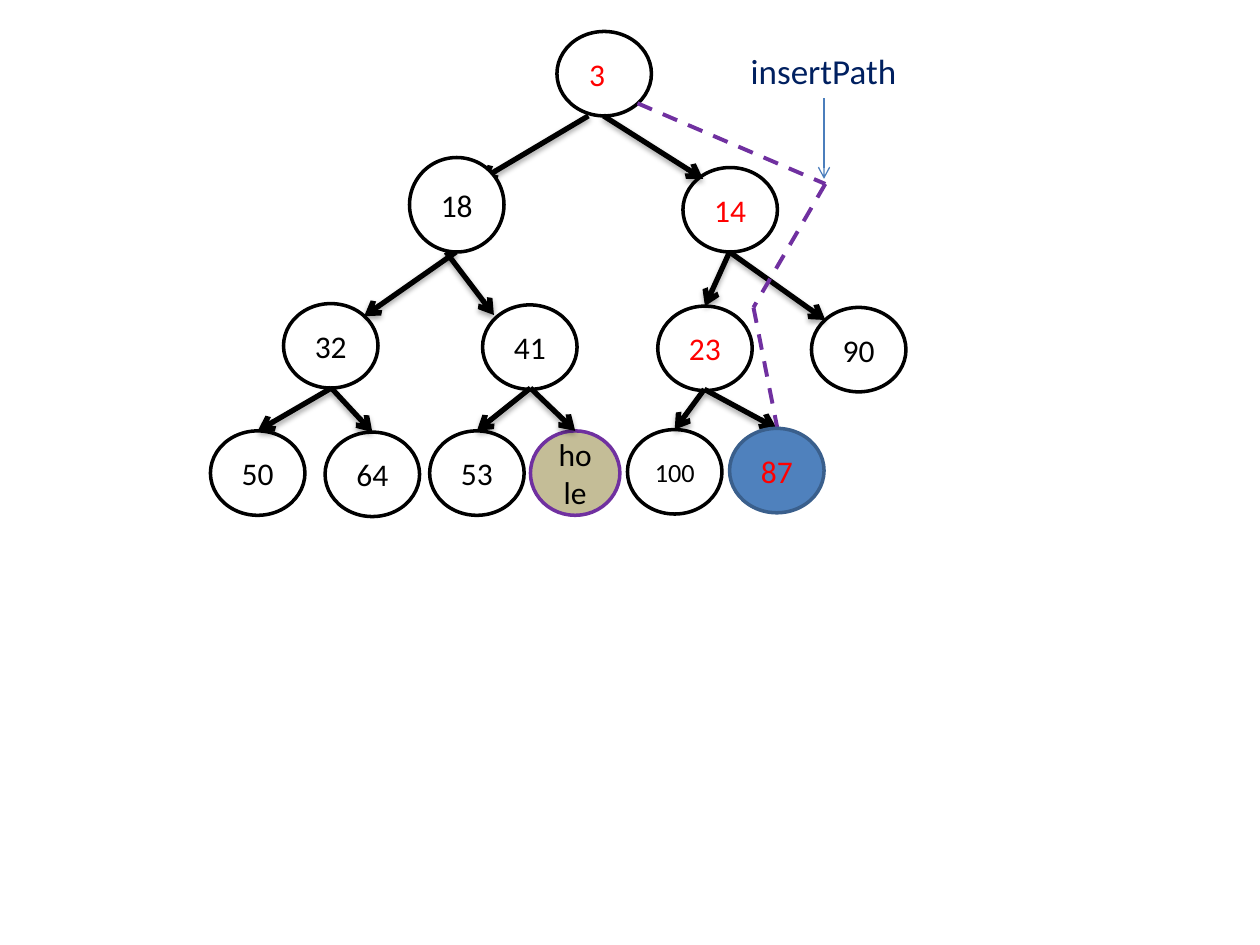
from lxml import etree
from pptx import Presentation
from pptx.dml.color import RGBColor
from pptx.enum.dml import MSO_LINE
from pptx.enum.shapes import MSO_CONNECTOR, MSO_SHAPE
from pptx.enum.text import MSO_ANCHOR, MSO_AUTO_SIZE, PP_ALIGN
from pptx.oxml.ns import qn
from pptx.util import Inches, Pt

OVAL = MSO_SHAPE.OVAL
STRAIGHT = MSO_CONNECTOR.STRAIGHT
DASH = MSO_LINE.DASH
MIDDLE = MSO_ANCHOR.MIDDLE
CENTER = PP_ALIGN.CENTER
FIT_SHAPE = MSO_AUTO_SIZE.SHAPE_TO_FIT_TEXT
TOP = 0

FONT = "Calibri"
COLORS = {
    "white": "FFFFFF", "black": "000000", "red": "FF0000",
    "tan": "C4BD97", "purple": "7030A0", "navy": "002060",
    "blue": "4F81BD", "dark_blue": "3A5F8C", "pointer": "4B7EBC",
}


def color(name):
    return RGBColor.from_string(COLORS[name])


def add_line(slide, start, end, line_color, width, arrow=False, shadow=False):
    """Draw a straight line with an optional arrowhead and soft shadow."""
    connector = slide.shapes.add_connector(
        STRAIGHT, *(Inches(value) for value in (*start, *end)))
    connector.line.color.rgb = color(line_color)
    connector.line.width = Pt(width)
    if arrow:
        etree.SubElement(connector.line._get_or_add_ln(), qn("a:tailEnd"), type="arrow")
    effects = etree.SubElement(connector._element.spPr, qn("a:effectLst"))
    if shadow:
        outer = etree.SubElement(effects, qn("a:outerShdw"), blurRad="40000",
                                 dist="23000", dir="5400000", rotWithShape="0")
        tint = etree.SubElement(outer, qn("a:srgbClr"), val=COLORS["black"])
        etree.SubElement(tint, qn("a:alpha"), val="35000")
    return connector


presentation = Presentation()
presentation.slide_width = Inches(10)
presentation.slide_height = Inches(7.5)
slide = presentation.slides.add_slide(presentation.slide_layouts[6])

# Heap nodes: label, left, top
NODES = [
    ("3", 4.42, 0.25),
    ("18", 3.25, 1.25), ("14", 5.42, 1.33),
    ("32", 2.25, 2.41), ("41", 3.83, 2.42), ("23", 5.22, 2.43), ("90", 6.44, 2.44),
    ("50", 1.67, 3.42), ("64", 2.58, 3.43), ("53", 3.41, 3.42),
    ("hole", 4.21, 3.42), ("100", 4.98, 3.41), ("87", 5.79, 3.40),
]
SIZES = {"18": (0.75, 0.75), "hole": (0.71, 0.67)}
FILLS = {"hole": ("tan", "purple"), "87": ("blue", "dark_blue")}
ON_INSERT_PATH = {"3", "14", "23", "87"}

nodes = {}
for label, left, top in NODES:
    width, height = SIZES.get(label, (0.75, 0.67))
    fill_color, line_color = FILLS.get(label, ("white", "black"))
    node = slide.shapes.add_shape(
        OVAL, Inches(left), Inches(top), Inches(width), Inches(height))
    node.shadow.inherit = False
    node.fill.solid()
    node.fill.fore_color.rgb = color(fill_color)
    node.line.color.rgb = color(line_color)
    node.line.width = Pt(2)
    node.text_frame.vertical_anchor = MIDDLE
    node.text_frame.word_wrap = True
    paragraph = node.text_frame.paragraphs[0]
    paragraph.text = label
    paragraph.alignment = CENTER
    paragraph.font.name = FONT
    paragraph.font.size = Pt(15 if label == "100" else 18)
    paragraph.font.color.rgb = color("red" if label in ON_INSERT_PATH else "black")
    nodes[label] = node
nodes["3"].text_frame.margin_right = Inches(0.21)

# Tree edges: start, end, child whose top the arrow joins
EDGES = [
    ((4.67, 0.92), (3.81, 1.43), None), ((4.79, 0.92), (5.58, 1.42), None),
    ((3.62, 2.00), (2.89, 2.51), None), ((3.54, 2.00), (3.92, 2.50), None),
    ((5.79, 2.00), (5.59, 2.43), "23"), ((5.79, 2.00), (6.55, 2.54), None),
    ((2.63, 3.08), (2.04, 3.42), "50"), ((2.63, 3.08), (2.96, 3.43), "64"),
    ((4.21, 3.08), (3.79, 3.42), "53"), ((4.21, 3.08), (4.56, 3.42), "hole"),
    ((5.59, 3.09), (5.35, 3.41), "100"), ((5.59, 3.09), (6.17, 3.40), "87"),
]
for start, end, child in EDGES:
    edge = add_line(slide, start, end, "black", 3, arrow=True, shadow=True)
    if child:
        edge.end_connect(nodes[child], TOP)

# Dashed insert path
PATH_POINTS = [(5.06, 0.82), (6.55, 1.46), (5.98, 2.44), (6.17, 3.40)]
for start, end in zip(PATH_POINTS, PATH_POINTS[1:]):
    add_line(slide, start, end, "purple", 2.25).line.dash_style = DASH

# These nodes cover the arrow tips that reach them
for label in ("18", "87"):
    slide.shapes._spTree.append(nodes[label]._element)

# Path label and its pointer
caption = slide.shapes.add_textbox(Inches(5.86), Inches(0.34), Inches(1.37), Inches(0.44))
caption.text_frame.word_wrap = False
caption.text_frame.auto_size = FIT_SHAPE
paragraph = caption.text_frame.paragraphs[0]
paragraph.text = "insertPath"
paragraph.font.name = FONT
paragraph.font.size = Pt(20)
paragraph.font.color.rgb = color("navy")
add_line(slide, (6.54, 0.78), (6.54, 1.42), "pointer", 0.75, arrow=True)

presentation.save("out.pptx")
